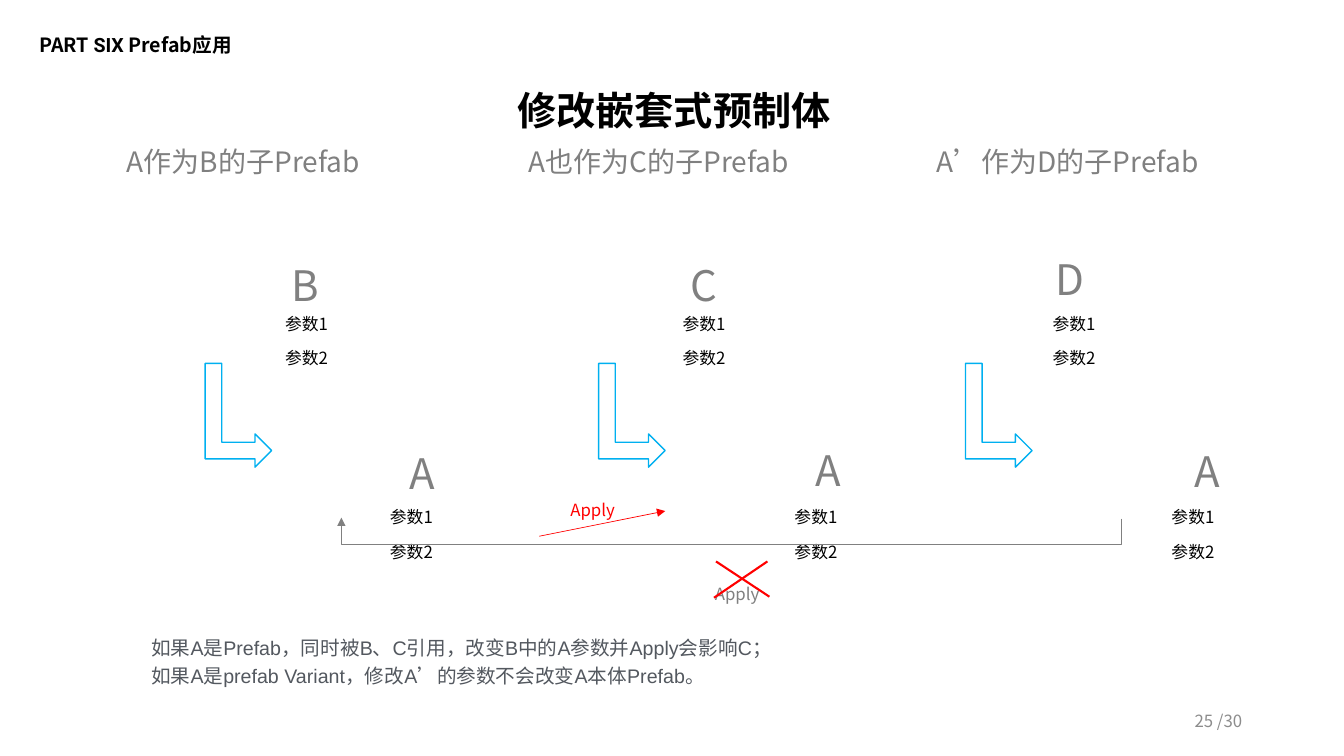
"""Build the slide on changing nested prefabs."""
import itertools

import lxml.etree
import pptx
import pptx.dml.color
import pptx.enum.shapes
import pptx.enum.text
import pptx.oxml.ns
import pptx.util

RGBColor = pptx.dml.color.RGBColor
BLACK = RGBColor(0x00, 0x00, 0x00)
WHITE = RGBColor(0xFF, 0xFF, 0xFF)
GREY = RGBColor(0x80, 0x80, 0x80)
PAGE_GREY = RGBColor(0x8C, 0x8C, 0x8C)
SLATE = RGBColor(0x53, 0x58, 0x5F)
RED = RGBColor(0xFF, 0x00, 0x00)
BLUE = RGBColor(0x00, 0xB0, 0xF0)

CHINESE = "Noto Sans CJK SC"
ALIGN = pptx.enum.text.PP_ALIGN
ANCHOR = pptx.enum.text.MSO_ANCHOR
FIT = pptx.enum.text.MSO_AUTO_SIZE
CONNECTOR = pptx.enum.shapes.MSO_CONNECTOR
Pt = pptx.util.Pt
qn = pptx.oxml.ns.qn


def text_style(size, color, spacing=1.0, align=ALIGN.LEFT, bold=False, before=0,
               fonts=(CHINESE,), anchor=ANCHOR.TOP, fit=FIT.SHAPE_TO_FIT_TEXT, inset=0.1):
    """Return the format values of one kind of text."""
    return {
        "frame": {"word_wrap": True, "auto_size": fit, "vertical_anchor": anchor,
                  "margin_left": pptx.util.Inches(inset),
                  "margin_right": pptx.util.Inches(inset),
                  "margin_top": pptx.util.Inches(0.05),
                  "margin_bottom": pptx.util.Inches(0.05)},
        "paragraph": {"alignment": align, "line_spacing": spacing},
        "font": {"size": Pt(size), "bold": bold},
        "color": color, "fonts": fonts, "before": Pt(before),
    }


STYLES = {
    "title": text_style(28, BLACK, 2.0, ALIGN.CENTER, True, fit=FIT.NONE, inset=0.05),
    "notes": text_style(14, SLATE, 1.2, fonts=("Arial",)),
    "part": text_style(14, BLACK, 0.9, bold=True, fonts=(CHINESE, "Roboto", CHINESE),
                       anchor=ANCHOR.MIDDLE, fit=FIT.NONE),
    "page": text_style(12, PAGE_GREY, align=ALIGN.RIGHT, anchor=ANCHOR.MIDDLE, fit=FIT.NONE),
    "caption": text_style(20, GREY, align=ALIGN.CENTER),
    "letter": text_style(30, GREY, 2.0, ALIGN.CENTER),
    "parameters": text_style(12, BLACK, 1.3, before=6),
    "apply": text_style(12, RED, 1.3),
    "blocked": text_style(12, GREY, 1.3),
}


def assign(target, values):
    """Set every attribute in values on target."""
    for name, value in values.items():
        setattr(target, name, value)


class PrefabSlide:
    """Draw elements on a grid of 40 columns and 30 rows."""

    def __init__(self, presentation, styles):
        """Add a slide with a title and a body."""
        self.slide = presentation.slides.add_slide(presentation.slide_layouts[1])
        self.styles = styles
        self.column = presentation.slide_width / 40
        self.row = presentation.slide_height / 30

    def place(self, *lengths):
        """Turn alternating columns and rows into lengths."""
        units = itertools.cycle((self.column, self.row))
        return [pptx.util.Emu(round(length * unit)) for length, unit in zip(lengths, units)]

    def fill_text(self, shape, style_name, paragraphs):
        """Fill a shape with paragraphs, each a list of runs."""
        style = self.styles[style_name]
        frame = shape.text_frame
        assign(frame, style["frame"])
        for index, texts in enumerate(paragraphs):
            paragraph = frame.add_paragraph() if index else frame.paragraphs[0]
            assign(paragraph, style["paragraph"])
            paragraph.space_before = style["before"] if index else Pt(0)
            for text, font_name in zip(texts, itertools.cycle(style["fonts"])):
                run = paragraph.add_run()
                run.text = text
                assign(run.font, {**style["font"], "name": font_name})
                run.font.color.rgb = style["color"]
                east_asian = lxml.etree.SubElement(run._r.get_or_add_rPr(), qn("a:ea"))
                east_asian.set("typeface", CHINESE)

    def text(self, box, style_name, *paragraphs):
        """Add a text box."""
        shape = self.slide.shapes.add_textbox(*self.place(*box))
        self.fill_text(shape, style_name, paragraphs)

    def placeholder(self, index, box, style_name, *paragraphs):
        """Move and fill a template placeholder."""
        shape = self.slide.placeholders[index]
        assign(shape, dict(zip(("left", "top", "width", "height"), self.place(*box))))
        self.fill_text(shape, style_name, paragraphs)
        for paragraph in shape.text_frame.paragraphs:
            properties = paragraph._p.get_or_add_pPr()
            properties.set("marL", "0")
            properties.set("indent", "0")
            lxml.etree.SubElement(properties, qn("a:buNone"))

    def child_arrow(self, column):
        """Add the bent arrow from a parent to its child."""
        shape = self.slide.shapes.add_shape(
            pptx.enum.shapes.MSO_SHAPE.BENT_UP_ARROW, *self.place(column, 15.16, 3.09, 2.64))
        shape.rotation = 90
        shape.shadow.inherit = False
        shape.fill.solid()
        shape.fill.fore_color.rgb = WHITE
        shape.line.color.rgb = BLUE
        shape.line.width = Pt(1)

    def line(self, ends, color, width, arrow=False, kind=CONNECTOR.STRAIGHT):
        """Add a connector between two grid points."""
        connector = self.slide.shapes.add_connector(kind, *self.place(*ends))
        connector.line.color.rgb = color
        connector.line.width = Pt(width)
        properties = connector._element.spPr
        if arrow:
            tail = lxml.etree.SubElement(properties.find(qn("a:ln")), qn("a:tailEnd"))
            tail.set("type", "triangle")
        lxml.etree.SubElement(properties, qn("a:effectLst"))
        return connector

    def return_arrow(self, ends, color, depth):
        """Add an elbow arrow turned to run below its ends."""
        connector = self.line(ends, color, 0.5, True, CONNECTOR.ELBOW)
        connector.rotation = 90
        values = connector._element.spPr.find(qn("a:prstGeom")).find(qn("a:avLst"))
        guide = lxml.etree.SubElement(values, qn("a:gd"))
        guide.set("name", "adj1")
        guide.set("fmla", f"val {-depth * 100000}")

    def prefab(self, letter, column, row, parameter_column, parameter_row):
        """Add a prefab letter with its two parameters."""
        self.text((column, row, 2.73, 3.84), "letter", [letter])
        self.text((parameter_column, parameter_row, 3.81, 2.84), "parameters",
                  ["参数1"], ["参数2"])


def main():
    """Build and save the presentation."""
    presentation = pptx.Presentation()
    presentation.slide_width = pptx.util.Inches(13.33)
    presentation.slide_height = pptx.util.Inches(7.5)
    page = PrefabSlide(presentation, STYLES)

    page.placeholder(0, (0.06, 1.36, 40, 3.8), "title", ["修改嵌套式预制体"])
    page.placeholder(1, (4.2, 24.84, 31.9, 2.68), "notes",
                     ["如果A是Prefab，同时被B、C引用，改变B中的A参数并Apply会影响C；"],
                     ["如果A是prefab Variant，修改A’的参数不会改变A本体Prefab。"])
    page.text((0.87, 0.96, 10.83, 1.72), "part", ["PART ", "SIX", " Prefab应用"])
    page.text((28.27, 27.8, 9, 1.6), "page", ["25 /30"])

    captions = (("A作为B的子Prefab", 3.18, 8.13), ("A也作为C的子Prefab", 14.94, 9.33),
                ("A’作为D的子Prefab", 27.1, 9.33))
    for caption, column, width in captions:
        page.text((column, 5.52, width, 1.76), "caption", [caption])
    for column in (5.55, 17.26, 28.18):
        page.child_arrow(column)
    parents = (("B", 7.71, 8.12, 8.19), ("C", 19.59, 8.12, 20.02), ("D", 30.49, 7.88, 31.03))
    children = (("A", 11.19, 15.56, 11.31), ("A", 23.29, 15.44, 23.35),
                ("A", 34.57, 15.48, 34.57))
    for prefabs, parameter_row in ((parents, 12), (children, 19.68)):
        for prefab in prefabs:
            page.prefab(*prefab, parameter_row)

    page.line((16.05, 21.28, 19.8, 20.28), RED, 0.5, arrow=True)
    page.text((16.68, 19.4, 2.22, 1.36), "apply", ["Apply"])
    page.text((20.98, 22.72, 2.22, 1.36), "blocked", ["Apply"])
    page.return_arrow((21.79, 5.08, 21.76, 36.04), GREY, 26)
    for ends in ((21.31, 22.28, 22.9, 23.68), (21.25, 23.72, 22.84, 22.28)):
        page.line(ends, RED, 1.5)

    presentation.save("out.pptx")


if __name__ == "__main__":
    main()
